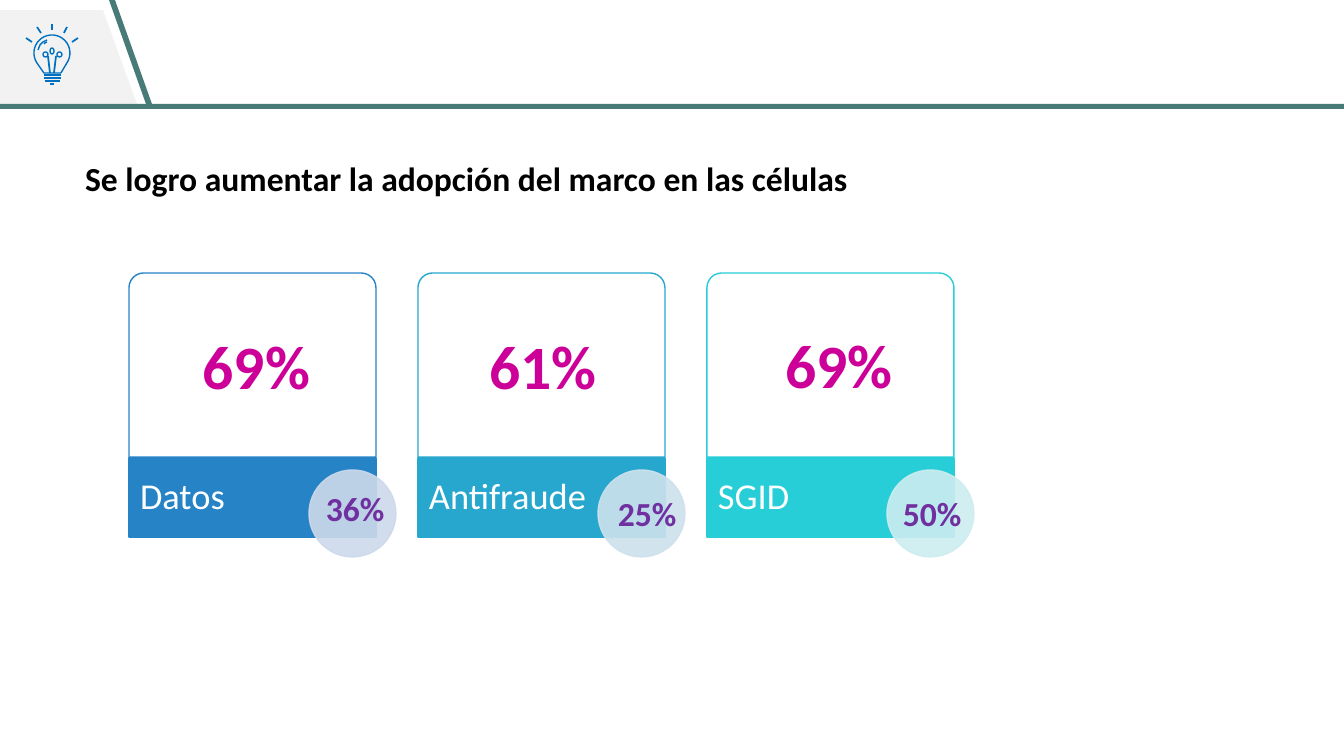
"""Build the slide on framework adoption by cell."""
import math

from lxml import etree
from pptx import Presentation
from pptx.dml.color import RGBColor
from pptx.enum.shapes import MSO_CONNECTOR, MSO_SHAPE
from pptx.enum.text import MSO_ANCHOR, MSO_AUTO_SIZE, PP_ALIGN
from pptx.oxml.ns import qn
from pptx.util import Pt

PX = 12192000 / 1344
FONT = "Calibri"
TITLE_ONLY = 5

RECTANGLE = MSO_SHAPE.RECTANGLE
ROUNDED_TOP = MSO_SHAPE.ROUND_2_SAME_RECTANGLE
OVAL = MSO_SHAPE.OVAL
STRAIGHT = MSO_CONNECTOR.STRAIGHT
LEFT, CENTER = PP_ALIGN.LEFT, PP_ALIGN.CENTER
TOP, MIDDLE = MSO_ANCHOR.TOP, MSO_ANCHOR.MIDDLE
NO_AUTO_SIZE = MSO_AUTO_SIZE.NONE

WHITE = RGBColor(0xFF, 0xFF, 0xFF)
BLACK = RGBColor(0x00, 0x00, 0x00)
GREY = RGBColor(0xF2, 0xF2, 0xF2)
GREEN = RGBColor(0x48, 0x7B, 0x78)
ICON_BLUE = RGBColor(0x00, 0x70, 0xC0)
MAGENTA = RGBColor(0xCC, 0x00, 0x99)
PURPLE = RGBColor(0x70, 0x30, 0xA0)
BLUE = RGBColor(0x26, 0x83, 0xC6)
SKY = RGBColor(0x27, 0xA7, 0xCE)
TURQUOISE = RGBColor(0x27, 0xCE, 0xD7)
PALE_BLUE = RGBColor(0xCD, 0xD9, 0xEA)
PALE_SKY = RGBColor(0xCD, 0xE2, 0xED)
PALE_TURQUOISE = RGBColor(0xCD, 0xED, 0xF0)

CARD_LEFT, CARD_STEP, CARD_WIDTH = 129, 289, 247
CARDS = [
    ("Datos", BLUE, PALE_BLUE, "69%", (134, 323, 245, 85), "36%", (316, 483, 80, 50)),
    ("Antifraude", SKY, PALE_SKY, "61%", (422, 323, 242, 85), "25%", (608, 488, 80, 50)),
    ("SGID", TURQUOISE, PALE_TURQUOISE, "69%", (713, 322, 252, 85), "50%", (893, 488, 80, 50)),
]

RAYS = [(72, 42, 78, 38), (64, 33, 67, 27), (52, 30, 52, 24), (41, 33, 37, 27), (32, 42, 26, 38)]
BASE_LINES = [(44, 75, 61, 75), (44, 78, 61, 78), (45, 81, 60, 81), (50, 84, 54, 84)]
FILAMENT_LEGS = [(48, 56, 50, 73), (56, 56, 54, 73)]
FILAMENT_LOOPS = [(43, 52, 5, 5), (50, 48, 4, 6), (57, 52, 5, 5)]
GLINTS = [[(38, 50), (40, 45), (43, 42), (47, 40)], [(44, 44), (45, 43), (47, 42)]]


def emu(*lengths):
    """Turn lengths in px into EMU."""
    return [round(length * PX) for length in lengths]


def paint(shape, fill=None, line=None, width=1):
    """Set fill and outline, each left out when it is None."""
    shape.shadow.inherit = False
    if fill is None:
        shape.fill.background()
    else:
        shape.fill.solid()
        shape.fill.fore_color.rgb = fill
    if line is None:
        shape.line.fill.background()
    else:
        shape.line.color.rgb = line
        shape.line.width = Pt(width)


def set_alpha(shape, query):
    """Make the colours found by the query 90% opaque."""
    for color in shape.element.spPr.xpath(query):
        etree.SubElement(color, qn("a:alpha")).set("val", "90000")


def add_preset(slide, kind, box, fill=None, line=None, width=1):
    """Add a painted preset shape."""
    shape = slide.shapes.add_shape(kind, *emu(*box))
    paint(shape, fill, line, width)
    return shape


def add_outline(slide, points, fill=None, line=None, close=True):
    """Add a painted shape through the given points."""
    corners = [emu(*point) for point in points]
    builder = slide.shapes.build_freeform(*corners[0], scale=1)
    builder.add_line_segments(corners[1:], close=close)
    paint(builder.convert_to_shape(), fill, line)


def add_stroke(slide, ends, color, width=1.25):
    """Add a straight line without a shadow."""
    connector = slide.shapes.add_connector(STRAIGHT, *emu(*ends))
    connector.line.color.rgb = color
    connector.line.width = Pt(width)
    etree.SubElement(connector.element.spPr, qn("a:effectLst"))


def write(shape, text, size, color, bold=True, align=LEFT, anchor=TOP, wrap=True):
    """Write one formatted paragraph into a shape."""
    frame = shape.text_frame
    frame.text = text
    frame.word_wrap = wrap
    frame.auto_size = NO_AUTO_SIZE
    frame.vertical_anchor = anchor
    paragraph = frame.paragraphs[0]
    paragraph.alignment = align
    font = paragraph.font
    font.name, font.size, font.bold = FONT, Pt(size), bold
    font.color.rgb = color
    return frame


def add_text(slide, box, text, size, color, **options):
    """Add a text box and return its text frame."""
    return write(slide.shapes.add_textbox(*emu(*box)), text, size, color, **options)


def add_title(slide, text):
    """Place and format the title placeholder."""
    title = slide.shapes.title
    title.left, title.top, title.width, title.height = emu(75, 153, 797, 50)
    frame = write(title, text, 24, BLACK, wrap=False)
    frame.paragraphs[0].line_spacing = 1.0


def add_bulb(slide):
    """Draw the light bulb in the header."""
    angles = [math.radians(degrees) for degrees in range(145, 396, 10)]
    glass = [(52 + 18 * math.cos(angle), 53 + 18 * math.sin(angle)) for angle in angles]
    add_outline(slide, glass + [(61, 73), (44, 73)], line=ICON_BLUE)
    for ends in RAYS + BASE_LINES + FILAMENT_LEGS:
        add_stroke(slide, ends, ICON_BLUE)
    for box in FILAMENT_LOOPS:
        add_preset(slide, OVAL, box, line=ICON_BLUE)
    for points in GLINTS:
        add_outline(slide, points, line=ICON_BLUE, close=False)


def add_header(slide):
    """Draw the header band with its icon."""
    add_outline(slide, [(0, 10), (103, 10), (137, 104), (0, 104)], fill=GREY)
    add_bulb(slide)
    add_preset(slide, RECTANGLE, (0, 104, 1344, 5), GREEN)
    add_outline(slide, [(109, 0), (115, 0), (152, 104), (146, 104)], fill=GREEN)


def add_card(slide, left, name, color, pale):
    """Draw a card with its name band and round badge."""
    panel = add_preset(slide, ROUNDED_TOP, (left, 273, CARD_WIDTH, 184), WHITE, color)
    panel.adjustments[0], panel.adjustments[1] = 0.08, 0
    set_alpha(panel, "./a:solidFill/a:srgbClr")
    add_preset(slide, RECTANGLE, (left, 458, CARD_WIDTH, 79), color, color)
    frame = add_text(slide, (left, 458, 174, 79), name, 26, WHITE, bold=False, anchor=MIDDLE)
    frame.margin_left, frame.margin_top, frame.margin_right, frame.margin_bottom = emu(11, 0, 4, 0)
    frame.paragraphs[0].line_spacing = 0.9
    badge = add_preset(slide, OVAL, (left + 180, 470, 87, 87), pale, pale)
    set_alpha(badge, ".//a:srgbClr")


def main():
    """Build and save the slide."""
    presentation = Presentation()
    presentation.slide_width, presentation.slide_height = emu(1344, 756)
    slide = presentation.slides.add_slide(presentation.slide_layouts[TITLE_ONLY])
    add_header(slide)
    add_title(slide, "Se logro aumentar la adopción del marco en las células")
    for index, (name, color, pale, value, value_box, share, share_box) in enumerate(CARDS):
        add_card(slide, CARD_LEFT + index * CARD_STEP, name, color, pale)
        add_text(slide, value_box, value, 44, MAGENTA, align=CENTER)
        add_text(slide, share_box, share, 24, PURPLE, wrap=False)
    presentation.save("out.pptx")


if __name__ == "__main__":
    main()
